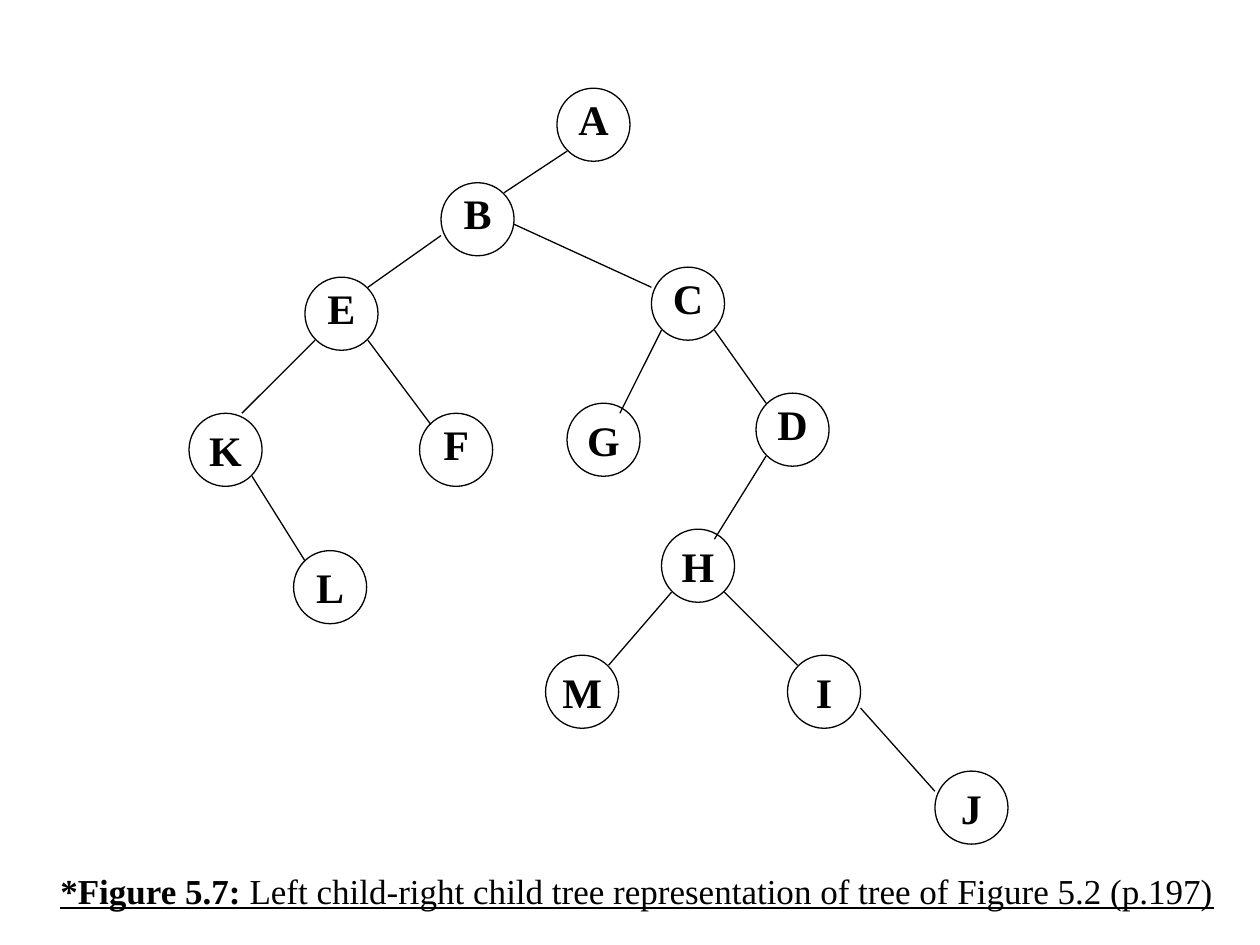
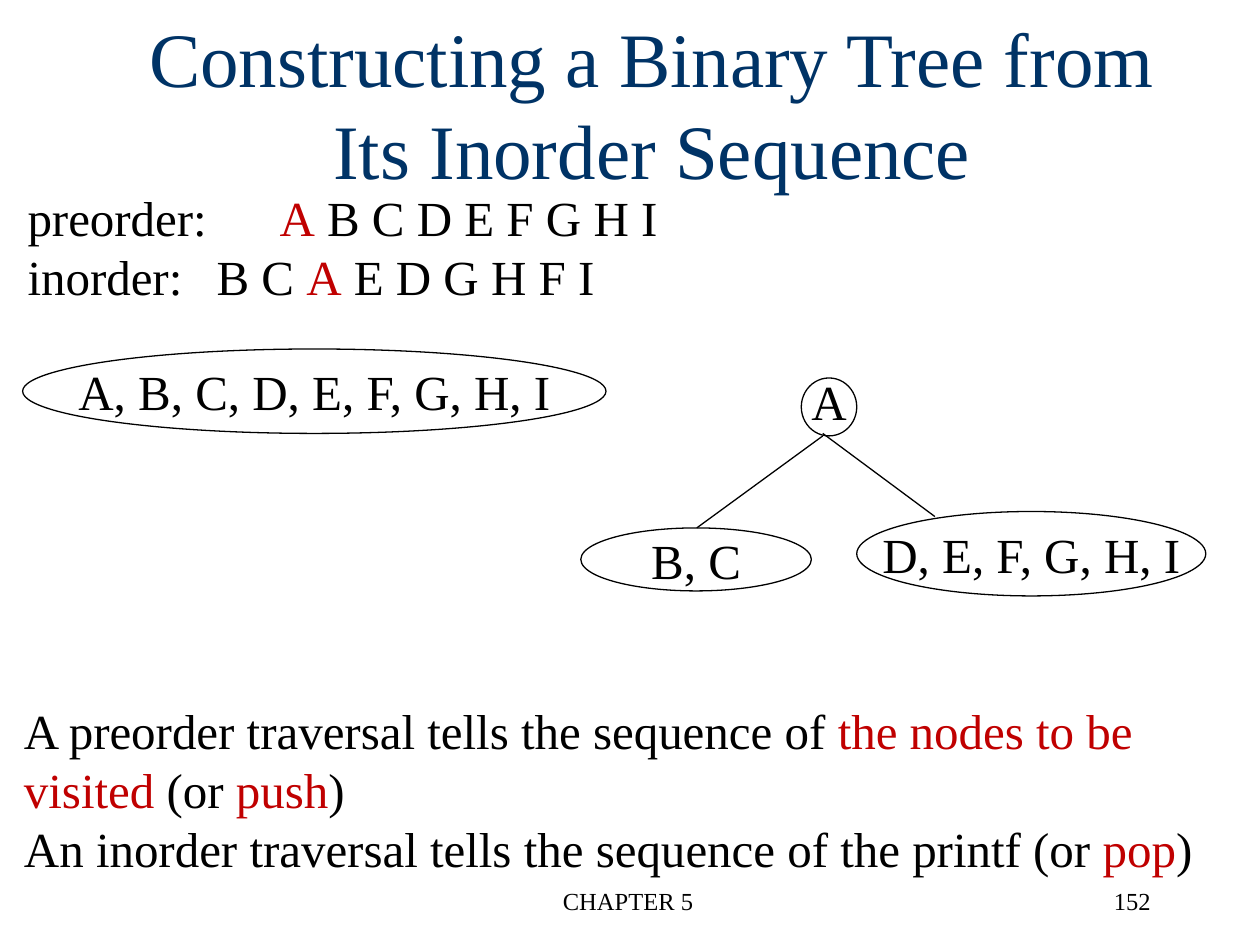
from dataclasses import dataclass

from lxml import etree
from pptx import Presentation
from pptx.dml.color import RGBColor
from pptx.enum.shapes import MSO_CONNECTOR, MSO_SHAPE
from pptx.enum.text import MSO_ANCHOR, MSO_AUTO_SIZE, PP_ALIGN
from pptx.oxml.ns import qn
from pptx.util import Inches, Pt

OVAL, STRAIGHT = MSO_SHAPE.OVAL, MSO_CONNECTOR.STRAIGHT
LEFT, CENTER, RIGHT = PP_ALIGN.LEFT, PP_ALIGN.CENTER, PP_ALIGN.RIGHT
TOP, MIDDLE = MSO_ANCHOR.TOP, MSO_ANCHOR.MIDDLE
TITLE_AND_CONTENT, BLANK = 1, 6


@dataclass(frozen=True)
class Theme:
    font: str = "Times New Roman"
    ink: RGBColor = RGBColor(0, 0, 0)
    title_ink: RGBColor = RGBColor(0x00, 0x33, 0x66)
    accent: RGBColor = RGBColor(0xC0, 0x00, 0x00)
    title: int = 44
    body: int = 28
    node: int = 24
    caption: int = 20
    footer: int = 14
    line: float = 0.75


THEME = Theme()

# Left and top of each node circle
NODE_SIZE = 0.58
NODES = {
    "A": (4.42, 0.7), "B": (3.5, 1.45), "C": (5.17, 2.12), "D": (6, 3.12),
    "E": (2.42, 2.2), "F": (3.33, 3.28), "G": (4.5, 3.2), "H": (5.25, 4.2),
    "I": (6.25, 5.2), "J": (7.42, 6.12), "K": (1.5, 3.28), "L": (2.33, 4.37),
    "M": (4.33, 5.2),
}
RAISED_NODES = "ABCDEF"
TREE_EDGES = [
    ((4.5, 1.2), (4, 1.53)), ((3.5, 1.87), (2.92, 2.28)),
    ((2.5, 2.7), (1.92, 3.28)), ((2, 3.78), (2.42, 4.45)),
    ((2.92, 2.7), (3.42, 3.37)), ((4.08, 1.78), (5.17, 2.28)),
    ((5.25, 2.62), (4.92, 3.28)), ((5.67, 2.62), (6.08, 3.2)),
    ((6.08, 3.62), (5.67, 4.28)), ((5.33, 4.7), (4.83, 5.28)),
    ((5.75, 4.7), (6.33, 5.28)), ((6.83, 5.62), (7.42, 6.28)),
]
CAPTION = ("*Figure 5.7:",
           " Left child-right child tree representation of tree of Figure 5.2 (p.197)")

# In running text, a span between asterisks takes the accent colour
TITLE = "Constructing a Binary Tree from Its Inorder Sequence"
SEQUENCES = ["preorder: \t*A* B C D E F G H I", "inorder:\tB C *A* E D G H F I"]
TRAVERSALS = [
    "A preorder traversal tells the sequence of *the nodes to be visited *(or* push*)",
    "An inorder traversal tells the sequence of the printf (or *pop*)",
]
SETS = [
    ("A, B, C, D, E, F, G, H, I", (0.18, 2.77, 4.63, 0.67), 0),
    ("A", (6.36, 3, 0.44, 0.46), 0.05),
    ("B, C", (4.61, 4.19, 1.83, 0.5), 0),
    ("D, E, F, G, H, I", (6.8, 4.06, 2.77, 0.67), 0),
]
SET_EDGES = [((6.53, 3.46), (5.53, 4.19)), ((6.53, 3.44), (7.42, 4.1))]
FOOTERS = [("CHAPTER 5", (3.4, 6.98, 3.17, 0.5), CENTER),
           ("152", (7.15, 6.98, 2.08, 0.5), RIGHT)]


def inches(values):
    return [Inches(value) for value in values]


def style(para, size, color=THEME.ink, align=LEFT, bold=False):
    para.alignment = align
    font = para.font
    font.name, font.size, font.bold = THEME.font, Pt(size), bold
    font.color.rgb = color


def write(frame, lines, size, color=THEME.ink, align=LEFT):
    """Fill a frame with one paragraph a line, accenting spans between asterisks."""
    for index, line in enumerate(lines):
        para = frame.paragraphs[0] if index == 0 else frame.add_paragraph()
        for part, text in enumerate(line.split("*")):
            if text:
                span = para.add_run()
                span.text = text
                if part % 2:
                    span.font.color.rgb = THEME.accent
        style(para, size, color, align)


def add_text(page, place, wrap=True):
    frame = page.shapes.add_textbox(*inches(place)).text_frame
    frame.word_wrap = wrap
    return frame


def place_holder(holder, place):
    """Move a placeholder and let its text start at the top at full size."""
    holder.left, holder.top, holder.width, holder.height = inches(place)
    frame = holder.text_frame
    frame.auto_size, frame.vertical_anchor = MSO_AUTO_SIZE.NONE, TOP
    return frame


def add_oval(page, label, place, size, bold=False, lift=0):
    oval = page.shapes.add_shape(OVAL, *inches(place))
    oval.shadow.inherit = False
    oval.fill.background()
    oval.line.color.rgb, oval.line.width = THEME.ink, Pt(THEME.line)
    frame = oval.text_frame
    frame.word_wrap, frame.vertical_anchor = False, MIDDLE
    frame.margin_left = frame.margin_right = frame.margin_top = 0
    frame.margin_bottom = Inches(2 * lift)
    para = frame.paragraphs[0]
    para.text = label
    style(para, size, align=CENTER, bold=bold)


def add_edges(page, edges):
    for start, end in edges:
        edge = page.shapes.add_connector(STRAIGHT, *inches(start + end))
        edge.line.color.rgb, edge.line.width = THEME.ink, Pt(THEME.line)
        etree.SubElement(edge._element.spPr, qn("a:effectLst"))


def build_tree_page(deck):
    page = deck.slides.add_slide(deck.slide_layouts[BLANK])
    for label, corner in NODES.items():
        add_oval(page, label, corner + (NODE_SIZE, NODE_SIZE), THEME.node,
                 bold=True, lift=0.05 if label in RAISED_NODES else 0)
    add_edges(page, TREE_EDGES)

    para = add_text(page, (0.38, 6.85, 9.41, 0.44), wrap=False).paragraphs[0]
    for text, bold in zip(CAPTION, (True, False)):
        span = para.add_run()
        span.text, span.font.bold = text, bold
    style(para, THEME.caption)
    para.font.underline = True


def build_sequence_page(deck):
    page = deck.slides.add_slide(deck.slide_layouts[TITLE_AND_CONTENT])
    title, body = page.placeholders
    write(place_holder(title, (0.73, 0.03, 8.89, 1.25)), [TITLE],
          THEME.title, THEME.title_ink, CENTER)

    frame = place_holder(body, (0.09, 5.51, 9.66, 1.51))
    write(frame, TRAVERSALS, THEME.body)
    for para in frame.paragraphs:
        para.space_before = Pt(0)
        properties = para._p.get_or_add_pPr()
        properties.set("marL", "0")
        properties.set("indent", "0")
        bullet = etree.Element(qn("a:buNone"))
        properties.find(qn("a:defRPr")).addprevious(bullet)

    write(add_text(page, (0.12, 1.44, 5.21, 1.03), wrap=False), SEQUENCES, THEME.body)
    for label, place, lift in SETS:
        add_oval(page, label, place, THEME.body, lift=lift)
    add_edges(page, SET_EDGES)
    for text, place, align in FOOTERS:
        write(add_text(page, place), [text], THEME.footer, align=align)


def main():
    deck = Presentation()
    deck.slide_width, deck.slide_height = Inches(10), Inches(7.5)
    build_tree_page(deck)
    build_sequence_page(deck)
    deck.save("out.pptx")


if __name__ == "__main__":
    main()
